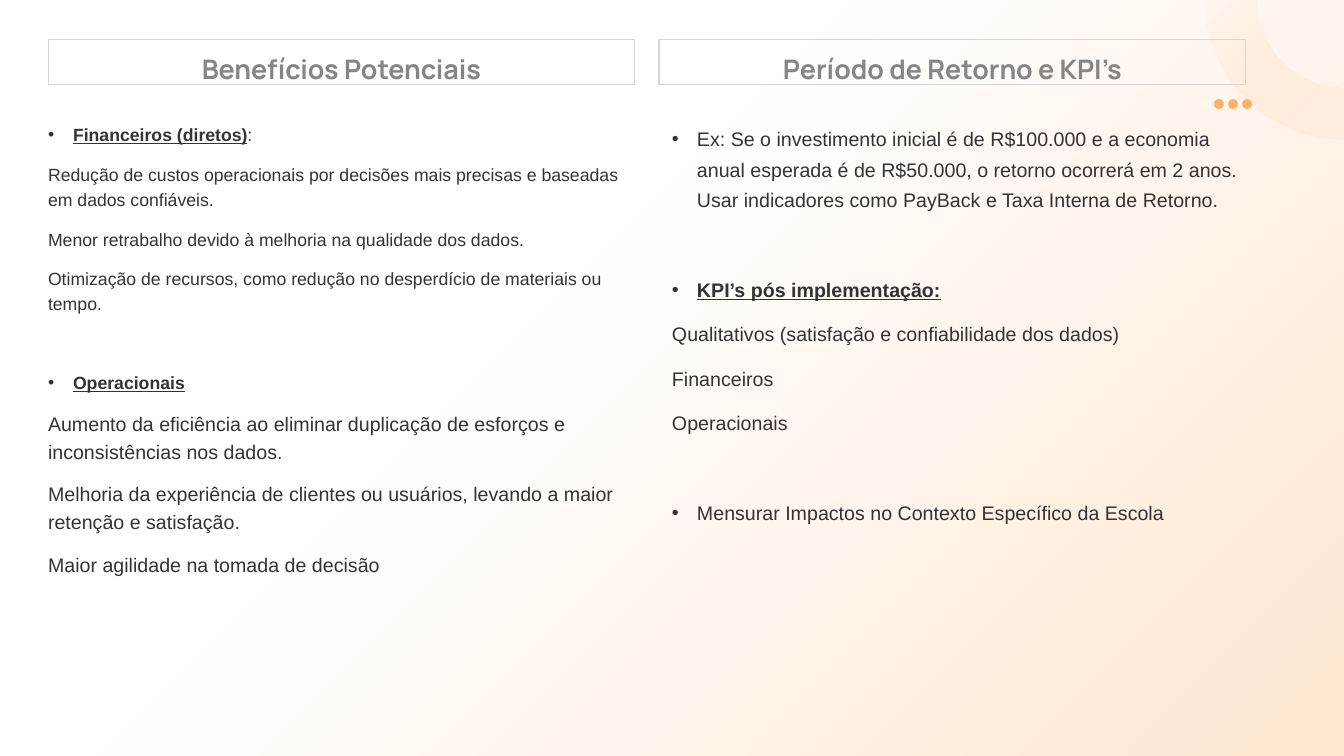
from dataclasses import dataclass
from math import cos, radians, sin

from lxml.etree import SubElement
from pptx import Presentation
from pptx.dml.color import RGBColor
from pptx.enum.shapes import MSO_SHAPE as Shape
from pptx.enum.text import MSO_ANCHOR as Anchor, PP_ALIGN as Align
from pptx.oxml.ns import qn
from pptx.util import Pt

PX = 914400 / 100.8
WIDE, HIGH = 1344, 756
BOX_W = 587
INDENT = 25

WHITE = RGBColor(0xFF, 0xFF, 0xFF)
PEACH = RGBColor(0xFF, 0xE6, 0xD0)
SAND = RGBColor(0xFF, 0xDF, 0xC3)
CREAM = RGBColor(0xFF, 0xEF, 0xE1)
ORANGE = RGBColor(0xFF, 0xB0, 0x6A)
BORDER = RGBColor(0xD6, 0xD6, 0xD6)
GREY = RGBColor(0x85, 0x85, 0x85)
DARK = RGBColor(0x33, 0x33, 0x33)


@dataclass
class Item:
    text: str
    size: float = 14
    bullet: bool = False
    strong: bool = False
    tail: str = ""
    before: int = 10


@dataclass
class Column:
    title: str
    title_x: int
    body_x: int
    body_h: int
    spacing: float
    items: list[Item]


COLUMNS = [
    Column("Benefícios Potenciais", 48, 48, 474, 1.2, [
        Item("Financeiros (diretos)", 12.6, bullet=True, strong=True, tail=":", before=0),
        Item("Redução de custos operacionais por decisões mais precisas e "
             "baseadas em dados confiáveis.", 12.6),
        Item("Menor retrabalho devido à melhoria na qualidade dos dados.", 12.6),
        Item("Otimização de recursos, como redução no desperdício de "
             "materiais ou tempo.", 12.6),
        Item("Operacionais", 12.6, bullet=True, strong=True, before=38),
        Item("Aumento da eficiência ao eliminar duplicação de esforços e "
             "inconsistências nos dados."),
        Item("Melhoria da experiência de clientes ou usuários, levando a maior "
             "retenção e satisfação."),
        Item("Maior agilidade na tomada de decisão"),
    ]),
    Column("Período de Retorno e KPI’s", 659, 672, 461, 1.3, [
        Item("Ex: Se o investimento inicial é de R$100.000 e a economia anual "
             "esperada é de R$50.000, o retorno ocorrerá em 2 anos. Usar "
             "indicadores como PayBack e Taxa Interna de Retorno.",
             bullet=True, before=0),
        Item("KPI’s pós implementação:", bullet=True, strong=True, before=42),
        Item("Qualitativos (satisfação e confiabilidade dos dados)"),
        Item("Financeiros"),
        Item("Operacionais"),
        Item("Mensurar Impactos no Contexto Específico da Escola",
             bullet=True, before=42),
    ]),
]


def emu(px: float) -> int:
    return round(px * PX)


def add_plain(slide, kind: Shape, x: int, y: int, w: int, h: int):
    shape = slide.shapes.add_shape(kind, emu(x), emu(y), emu(w), emu(h))
    shape.shadow.inherit = False
    shape.line.fill.background()
    return shape


def shade(fill, first: RGBColor, last: RGBColor, start: float = 0) -> None:
    """Fill with a gradient running to the bottom right."""
    fill.gradient()
    fill.gradient_angle = 315
    for stop, color, place in zip(fill.gradient_stops, (first, last), (start, 1)):
        stop.color.rgb = color
        stop.position = place


def draw_ring(slide, outer: int, inner: int) -> None:
    """Draw a quarter ring around the top right corner."""
    def arc(radius: int, angles: range) -> list[tuple[int, int]]:
        return [(emu(WIDE + radius * cos(radians(a))), emu(radius * sin(radians(a))))
                for a in angles]

    points = arc(outer, range(180, 89, -2)) + arc(inner, range(90, 181, 2))
    pen = slide.shapes.build_freeform(*points[0])
    pen.add_line_segments(points[1:], close=True)
    ring = pen.convert_to_shape()
    ring.shadow.inherit = False
    ring.line.fill.background()
    shade(ring.fill, SAND, CREAM)
    clear = next(ring._element.iter(qn("a:srgbClr")))
    SubElement(clear, qn("a:alpha")).set("val", "0")


def draw_dots(slide) -> None:
    for i in range(3):
        dot = add_plain(slide, Shape.OVAL, 1214 + 14 * i, 99, 10, 10)
        dot.fill.solid()
        dot.fill.fore_color.rgb = ORANGE


def reset_frame(frame, anchor: Anchor) -> None:
    frame.word_wrap = True
    frame.vertical_anchor = anchor
    frame.margin_left = frame.margin_right = 0
    frame.margin_top = frame.margin_bottom = 0


def style(run, name: str, size: float, color: RGBColor, bold: bool) -> None:
    font = run.font
    font.name, font.size, font.bold = name, Pt(size), bold
    font.color.rgb = color


def draw_title(slide, column: Column) -> None:
    box = add_plain(slide, Shape.RECTANGLE, column.title_x, 40, BOX_W, 45)
    box.fill.background()
    box.line.color.rgb = BORDER
    box.line.width = Pt(0.75)
    frame = box.text_frame
    reset_frame(frame, Anchor.BOTTOM)
    frame.text = column.title
    para = frame.paragraphs[0]
    para.alignment = Align.CENTER
    para.line_spacing = 1.3
    style(para.runs[0], "Manrope", 19.2, GREY, True)


def add_bullet(para) -> None:
    props = para._p.get_or_add_pPr()
    props.set("marL", str(emu(INDENT)))
    props.set("indent", str(-emu(INDENT)))
    SubElement(props, qn("a:buFont")).set("typeface", "Arial")
    SubElement(props, qn("a:buChar")).set("char", "•")


def draw_body(slide, column: Column) -> None:
    box = slide.shapes.add_textbox(
        emu(column.body_x), emu(120), emu(BOX_W), emu(column.body_h))
    frame = box.text_frame
    reset_frame(frame, Anchor.TOP)
    for i, item in enumerate(column.items):
        para = frame.add_paragraph() if i else frame.paragraphs[0]
        if item.bullet:
            add_bullet(para)
        para.line_spacing = column.spacing
        para.space_before = Pt(item.before)
        para.text = item.text
        lead = para.runs[0]
        style(lead, "Arial", item.size, DARK, item.strong)
        lead.font.underline = item.strong
        if item.tail:
            tail = para.add_run()
            tail.text = item.tail
            style(tail, "Arial", item.size, DARK, False)


def main() -> None:
    deck = Presentation()
    deck.slide_width, deck.slide_height = emu(WIDE), emu(HIGH)
    slide = deck.slides.add_slide(deck.slide_layouts[6])
    back = add_plain(slide, Shape.RECTANGLE, 0, 0, WIDE, HIGH)
    shade(back.fill, WHITE, PEACH, 0.38)
    draw_ring(slide, 139, 87)
    draw_dots(slide)
    for column in COLUMNS:
        draw_title(slide, column)
        draw_body(slide, column)
    deck.save("out.pptx")


if __name__ == "__main__":
    main()
